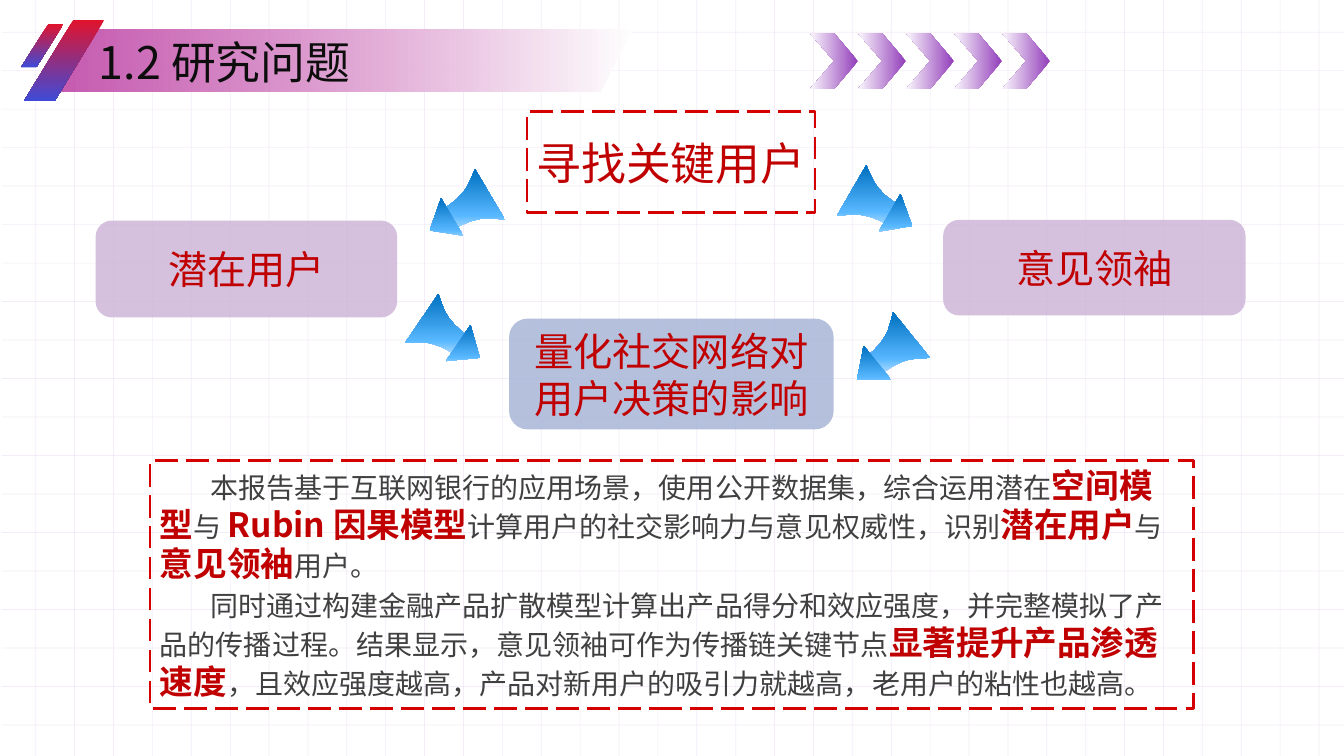
from math import cos, radians, sin

from lxml.etree import SubElement
from pptx import Presentation
from pptx.dml.color import RGBColor as Rgb
from pptx.enum.dml import MSO_LINE as Dash
from pptx.enum.shapes import MSO_CONNECTOR as Connector, MSO_SHAPE as Preset
from pptx.enum.text import MSO_ANCHOR as Anchor, PP_ALIGN as Align
from pptx.oxml.ns import qn
from pptx.util import Cm, Pt

FONT = "Noto Sans CJK SC"
COLORS = {
    "grid": "E9D6F2", "dash": "D40000", "red": "C00000", "grey": "404040",
    "black": "0D0D0D", "white": "FFFFFF", "magenta": "BB39A0",
    "crimson": "E0132D", "indigo": "3F4BD6", "purple": "923EBA",
    "pale": "F7F0FA", "sky": "57B7FF", "blue": "0070C0",
    "lilac": "CCB4D7", "steel": "A5B3D6",
}
STYLES = {
    "title": ({"size": Pt(32), "bold": False}, "black"),
    "goal": ({"size": Pt(32), "bold": False}, "red"),
    "label": ({"size": Pt(28), "bold": False}, "red"),
    "body": ({"size": Pt(20), "bold": False}, "grey"),
    "key": ({"size": Pt(24), "bold": True}, "red"),
}
# Gradient stops: position, colour, opacity in percent
HEADER_FADE = [(0, "white", 100), (100, "magenta", 84)]
SLASH_FADE = [(0, "crimson", 100), (100, "indigo", 100)]
CHEVRON_FADE = [(0, "purple", 100), (96, "pale", 100)]
ARROW_FADE = [(0, "white", 100), (37, "sky", 100), (100, "blue", 100)]

# Right edge of an upright arrow tail, in cm from its centre
TAIL_EDGE = [(0.29, -0.57), (0.3, -0.41), (0.33, -0.2), (0.39, 0.01),
             (0.46, 0.17), (0.6, 0.38), (0.74, 0.57)]
# Arrow centre x, y in cm and rotation in degrees
ARROWS = [(21.95, 5.09, 120.2), (11.86, 5.19, 239.2),
          (22.53, 8.8, 231), (11.1, 8.34, 124.3)]

REPORT = [
    [("本报告基于互联网银行的应用场景，使用公开数据集，综合运用潜在", "body"),
     ("空间模型", "key"), ("与 ", "body"), ("Rubin 因果模型", "key"),
     ("计算用户的社交影响力与意见权威性，识别", "body"), ("潜在用户", "key"),
     ("与", "body"), ("意见领袖", "key"), ("用户。", "body")],
    [("同时通过构建金融产品扩散模型计算出产品得分和效应强度，并完整模拟了产品的"
      "传播过程。结果显示，意见领袖可作为传播链关键节点", "body"),
     ("显著提升产品渗透速度", "key"),
     ("，且效应强度越高，产品对新用户的吸引力就越高，老用户的粘性也越高。", "body")],
]


def rgb(name):
    return Rgb.from_string(COLORS[name])


def set_alpha(element, percent):
    for color in element.iter(qn("a:srgbClr")):
        SubElement(color, qn("a:alpha"), val=str(percent * 1000))


def fill_gradient(shape, stops, angle):
    shape.fill.gradient()
    shape.fill.gradient_angle = angle
    gradient = shape._element.spPr.find(qn("a:gradFill"))
    gradient.set("rotWithShape", "0")
    stop_list = gradient.find(qn("a:gsLst"))
    for stop in list(stop_list):
        stop_list.remove(stop)
    for position, name, opacity in stops:
        stop = SubElement(stop_list, qn("a:gs"), pos=str(position * 1000))
        color = SubElement(stop, qn("a:srgbClr"), val=COLORS[name])
        if opacity < 100:
            SubElement(color, qn("a:alpha"), val=str(opacity * 1000))


def add_preset(page, preset, box, adjust=None):
    shape = page.shapes.add_shape(preset, *map(Cm, box))
    shape.shadow.inherit = False
    shape.line.fill.background()
    if adjust is not None:
        shape.adjustments[0] = adjust
    return shape


def add_grid_line(page, *ends):
    line = page.shapes.add_connector(Connector.STRAIGHT, *map(Cm, ends))
    line.line.color.rgb = rgb("grid")
    line.line.width = Pt(0.5)
    set_alpha(line._element.spPr, 44)
    SubElement(line._element.spPr, qn("a:effectLst"))


def write(shape, paragraphs, align=Align.CENTER, anchor=Anchor.MIDDLE,
          wrap=True, spacing=None, indent=None):
    frame = shape.text_frame
    frame.word_wrap = wrap
    frame.vertical_anchor = anchor
    for index, spans in enumerate(paragraphs):
        para = frame.add_paragraph() if index else frame.paragraphs[0]
        para.alignment = align
        if spacing:
            para.line_spacing = spacing
        if indent:
            para._p.get_or_add_pPr().set("indent", str(indent))
        for text, style in spans:
            span = para.add_run()
            span.text = text
            settings, color = STYLES[style]
            for name, value in settings.items():
                setattr(span.font, name, value)
            span.font.color.rgb = rgb(color)
            span.font.name = FONT
            SubElement(span._r.get_or_add_rPr(), qn("a:ea"), typeface=FONT)


def add_card(page, box, text, color):
    card = add_preset(page, Preset.ROUNDED_RECTANGLE, box)
    card.fill.solid()
    card.fill.fore_color.rgb = rgb(color)
    set_alpha(card._element.spPr, 82)
    write(card, [[(text, "label")]],
          spacing=Pt(34) if len(text) > 7 else None)


def add_dashed_box(page, box):
    frame = add_preset(page, Preset.RECTANGLE, box)
    frame.fill.background()
    frame.line.color.rgb = rgb("dash")
    frame.line.width = Pt(2)
    frame.line.dash_style = Dash.LONG_DASH
    return frame


def add_arrow(page, x, y, rotation):
    outline = TAIL_EDGE + [(-dx, dy) for dx, dy in reversed(TAIL_EDGE)]
    points = [(Cm(x + dx), Cm(y + dy)) for dx, dy in outline]
    builder = page.shapes.build_freeform(*points[0])
    builder.add_line_segments(points[1:], close=True)
    tail = builder.convert_to_shape()
    tail.shadow.inherit = False
    tail.line.fill.background()
    # The head sits 0.87 cm ahead of the tail centre
    turn = radians(rotation)
    head_x, head_y = x + 0.87 * sin(turn), y - 0.87 * cos(turn)
    head = add_preset(page, Preset.ISOSCELES_TRIANGLE,
                      (head_x - 0.55, head_y - 0.33, 1.1, 0.66))
    for part in (tail, head):
        part.rotation = rotation
        fill_gradient(part, ARROW_FADE, 90)


def main():
    deck = Presentation()
    deck.slide_width, deck.slide_height = Cm(33.87), Cm(19.05)
    page = deck.slides.add_slide(deck.slide_layouts[6])

    # Background grid
    for row in range(19):
        y = 0.81 + 0.97 * row
        add_grid_line(page, 0.05, y, 33.91, y)
    for column in range(34):
        x = 0.9 + 0.98 * column
        add_grid_line(page, x, 0, x, 19.05)

    # Title bar
    for box, adjust, stops, angle in [
        ((1.17, 0.74, 14.76, 1.57), 0.529, HEADER_FADE, 180),
        ((0.53, 0.61, 1.07, 1.09), 0.643, SLASH_FADE, 270),
        ((0.61, 0.51, 2.01, 2.03), 0.615, SLASH_FADE, 270),
    ]:
        bar = add_preset(page, Preset.PARALLELOGRAM, box, adjust)
        fill_gradient(bar, stops, angle)
    title = page.shapes.add_textbox(Cm(2.24), Cm(0.69), Cm(9.6), Cm(1.75))
    write(title, [[("1.2 研究问题", "title")]], Align.LEFT, Anchor.TOP,
          wrap=False, spacing=Pt(40))
    for index in range(5):
        chevron = add_preset(page, Preset.CHEVRON,
                             (20.42 + 1.21 * index, 0.84, 1.2, 1.4))
        fill_gradient(chevron, CHEVRON_FADE, 180)

    # Cycle of questions
    add_card(page, (2.41, 5.56, 7.6, 2.44), "潜在用户", "lilac")
    add_card(page, (23.77, 5.54, 7.62, 2.41), "意见领袖", "lilac")
    goal = add_dashed_box(page, (13.28, 2.82, 7.26, 2.54))
    write(goal, [[("寻找关键用户", "goal")]], wrap=False)
    for arrow in ARROWS:
        add_arrow(page, *arrow)
    add_card(page, (12.83, 8.03, 8.18, 2.79),
             "量化社交网络对用户决策的影响", "steel")

    # Report summary
    summary = add_dashed_box(page, (3.78, 11.61, 26.29, 6.25))
    write(summary, REPORT, Align.LEFT, Anchor.TOP,
          spacing=Pt(28), indent=Cm(1.27))

    deck.save("out.pptx")


if __name__ == "__main__":
    main()
